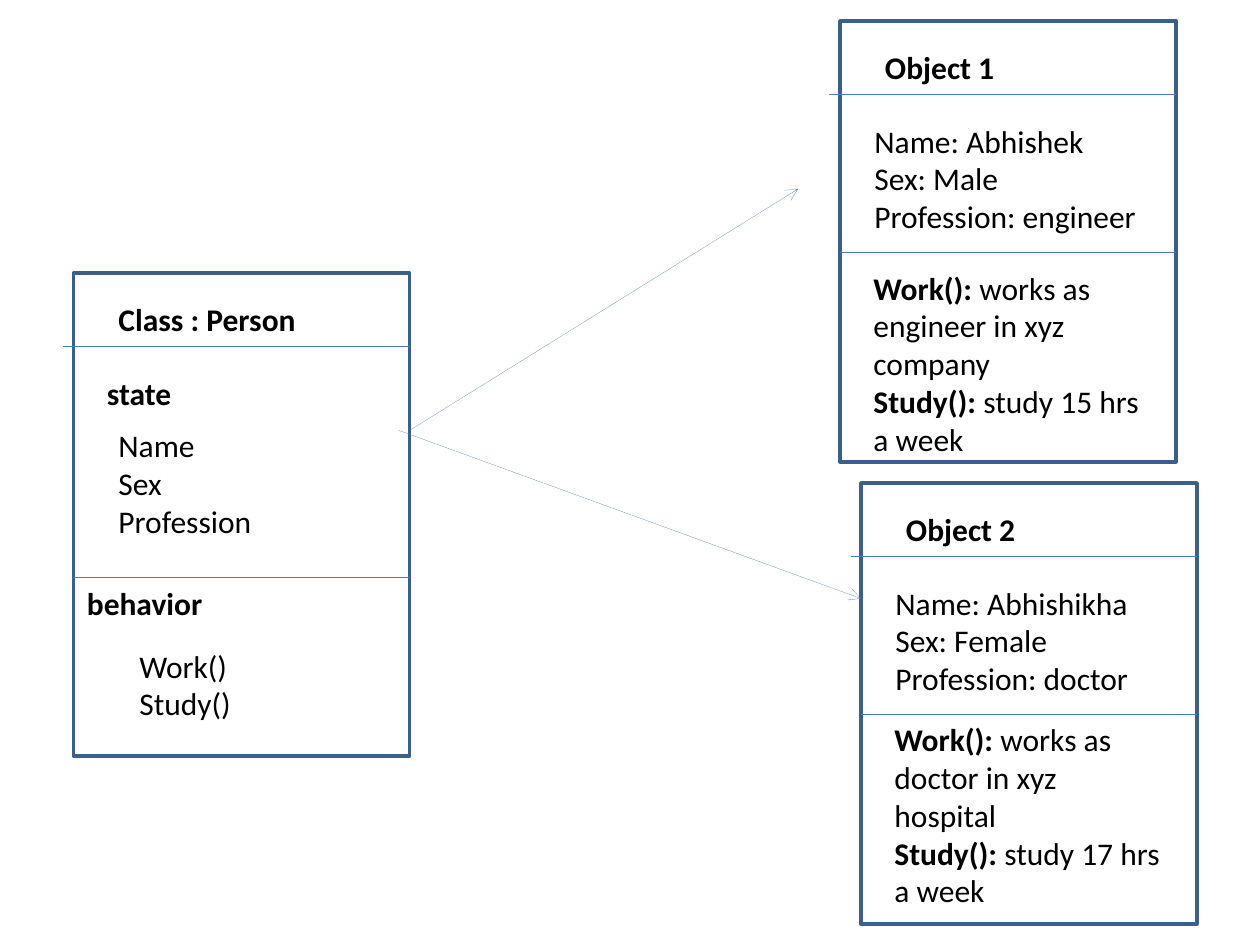
from pptx import Presentation
from pptx.dml.color import RGBColor
from pptx.enum.shapes import MSO_CONNECTOR, MSO_SHAPE
from pptx.oxml.ns import qn
from pptx.util import Emu, Pt
from lxml.etree import SubElement

PX = 7620
BORDER = RGBColor(0x3A, 0x5F, 0x8B)
RULE = RGBColor(0x4A, 0x7E, 0xBB)
INK = RGBColor(0, 0, 0)
BOX_WIDTH = 320


def px(*lengths):
    """Turn pixel lengths into EMU."""
    return [Emu(length * PX) for length in lengths]


def add_frame(slide, left, top, height):
    """Draw the unfilled outline of a class or object."""
    frame = slide.shapes.add_shape(MSO_SHAPE.RECTANGLE, *px(left, top, BOX_WIDTH, height))
    frame.shadow.inherit = False
    frame.fill.background()
    frame.line.color.rgb = BORDER
    frame.line.width = Pt(2)


def add_line(slide, start, end, arrow=False):
    """Draw a thin rule, or a finer line with an open arrowhead at its end."""
    line = slide.shapes.add_connector(MSO_CONNECTOR.STRAIGHT, *px(*start, *end))
    line.line.color.rgb = RULE
    line.line.width = Pt(0.1 if arrow else 0.5)
    properties = line._element.spPr
    if arrow:
        SubElement(properties.find(qn("a:ln")), qn("a:tailEnd"), type="arrow")
    SubElement(properties, qn("a:effectLst"))


def add_text(slide, left, top, width, lines, bold=False, rows=None):
    """Add text lines; a (name, description) pair gets a bold name."""
    height = 12 + 36 * (rows or len(lines))
    label = slide.shapes.add_textbox(*px(left, top, width, height))
    frame = label.text_frame
    frame.word_wrap = True
    for index, line in enumerate(lines):
        paragraph = frame.paragraphs[0] if index == 0 else frame.add_paragraph()
        paragraph.font.name = "Calibri"
        paragraph.font.size = Pt(18)
        paragraph.font.color.rgb = INK
        paragraph.font.bold = bold
        if isinstance(line, str):
            paragraph.add_run().text = line
        else:
            name, description = line
            name_run = paragraph.add_run()
            name_run.text = name
            name_run.font.bold = True
            paragraph.add_run().text = description


def add_box(slide, left, top, height, title, title_width, divider):
    """Draw a frame with its title, title rule and lower divider."""
    right = left + BOX_WIDTH
    add_frame(slide, left, top, height)
    add_text(slide, left + 31, top + 20, title_width, [title], bold=True)
    add_line(slide, (left - 10, top + 70), (right, top + 70))
    add_line(slide, (left, top + divider), (right, top + divider))


def add_class(slide, left, top):
    """Draw the Person class with its state and behavior."""
    add_box(slide, left, top, 460, "Class : Person", 204, 290)
    add_text(slide, left + 20, top + 90, 96, ["state"], bold=True)
    add_text(slide, left + 31, top + 140, 162, ["Name", "Sex", "Profession"])
    add_text(slide, left + 1, top + 290, 146, ["behavior"], bold=True)
    add_text(slide, left + 51, top + 350, 122, ["Work()", "Study()"])


def add_object(slide, left, top, title, fields, fields_width, methods, methods_top):
    """Draw one object with its field values and methods."""
    add_box(slide, left, top, 420, title, 140, 220)
    add_text(slide, left + 21, top + 90, fields_width, fields)
    add_text(slide, left + 20, top + methods_top, 280, methods, rows=5)


def main():
    """Build the class and objects slide."""
    deck = Presentation()
    deck.slide_width, deck.slide_height = px(1200, 900)
    slide = deck.slides.add_slide(deck.slide_layouts[6])

    add_class(slide, 70, 260)
    add_object(
        slide, 800, 20, "Object 1",
        ["Name: Abhishek", "Sex: Male", "Profession: engineer"], 286,
        [("Work(): ", "works as engineer in xyz company"),
         ("Study(): ", "study 15 hrs a week")], 230)
    add_object(
        slide, 820, 460, "Object 2",
        ["Name: Abhishikha", "Sex: Female", "Profession: doctor"], 258,
        [("Work(): ", "works as doctor in xyz hospital"),
         ("Study(): ", "study 17 hrs a week")], 220)
    add_line(slide, (390, 410), (760, 180), arrow=True)
    add_line(slide, (380, 410), (820, 570), arrow=True)

    deck.save("out.pptx")


if __name__ == "__main__":
    main()
